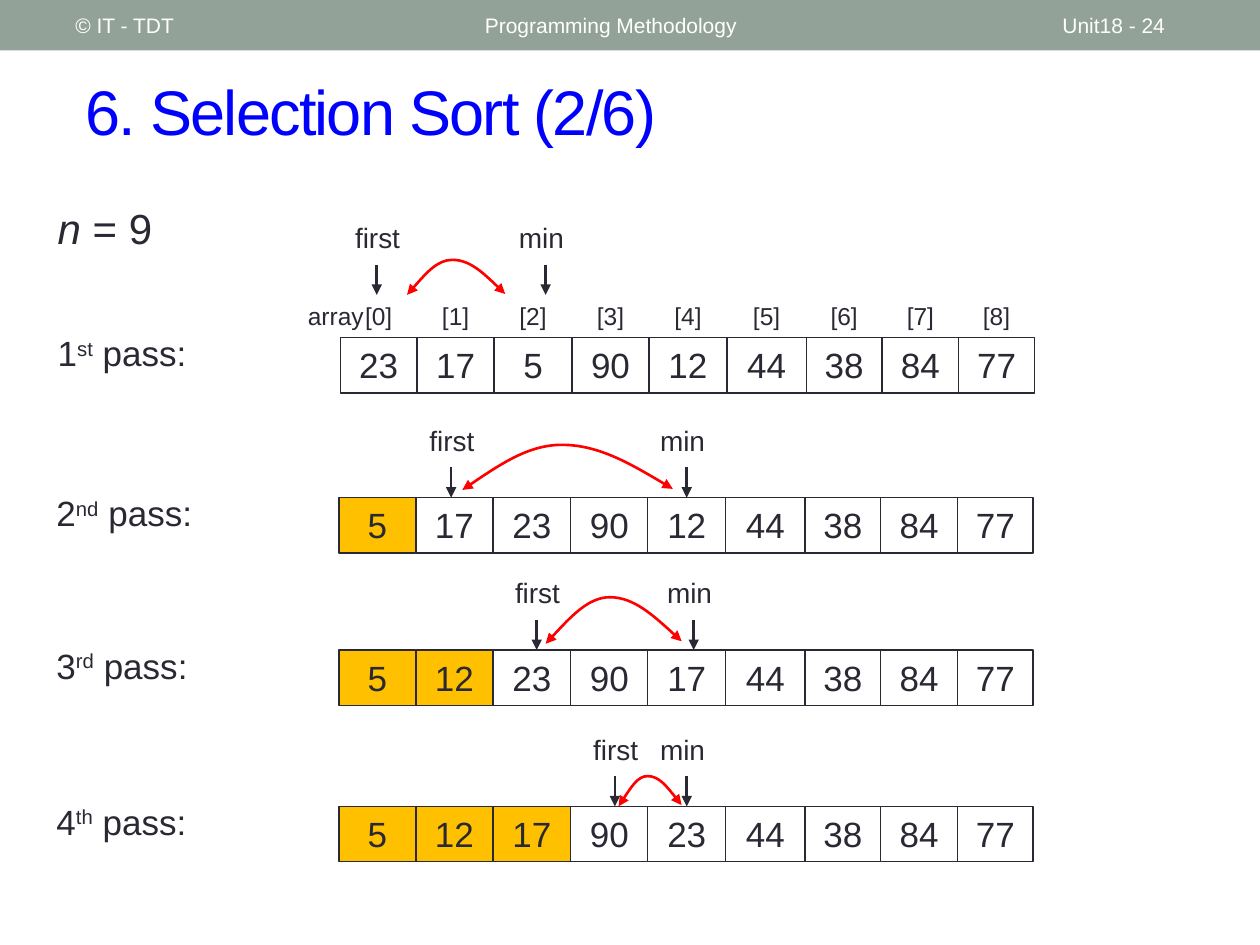
import pptx
import pptx.util
import pptx.dml.color
import pptx.enum.shapes
import pptx.enum.text
import pptx.oxml.ns
import pptx.oxml.xmlchemy

Pt = pptx.util.Pt
qn = pptx.oxml.ns.qn
node = pptx.oxml.xmlchemy.OxmlElement
RECT = pptx.enum.shapes.MSO_SHAPE.RECTANGLE
LINE = pptx.enum.shapes.MSO_CONNECTOR.STRAIGHT
MID = pptx.enum.text.MSO_ANCHOR.MIDDLE
TOP = pptx.enum.text.MSO_ANCHOR.TOP
LEFT = pptx.enum.text.PP_ALIGN.LEFT
CENTER = pptx.enum.text.PP_ALIGN.CENTER
INK, WHITE, GOLD, RED = "292934", "FFFFFF", "FFC000", "FF0000"
EDGES = (0, 44, 88, 132.5, 176.5, 221, 266.4, 309.6, 353.5, 396.7)
SPANS = [(a, b - a) for a, b in zip(EDGES, EDGES[1:])]
HIGH = 31.7

PASSES = [
    dict(box=(194.4, 193), vals=(23, 17, 5, 90, 12, 44, 38, 84, 77),
         done=0, rank=("1", "st"), lift=24.5, first=20.9, low=117.4,
         arc=((38.2, 0), (64.1, -20), (94.3, -0.5))),
    dict(box=(193.7, 284.4), vals=(5, 17, 23, 90, 12, 44, 38, 84, 77),
         done=1, rank=("2", "nd"), lift=0, first=64.1, low=198.7,
         arc=((70.5, -4.4), (127.4, -30.2), (190.8, -5))),
    dict(box=(193.7, 371.5), vals=(5, 12, 23, 90, 17, 44, 38, 84, 77),
         done=2, rank=("3", "rd"), lift=0, first=113, low=202.7,
         arc=((118.1, -3.6), (154.8, -30.2), (195.8, -5))),
    dict(box=(193.7, 460.8), vals=(5, 12, 17, 90, 23, 44, 38, 84, 77),
         done=3, rank=("4", "th"), lift=0, first=157.7, low=198.7,
         arc=((159.8, 0), (176.4, -17.3), (195.8, -0.7))),
]


def paint(part, tone):
    part.rgb = pptx.dml.color.RGBColor.from_string(tone)


def apply(item, form):
    for name, value in form.items():
        setattr(item, name, value)


def write(shape, runs, size, tone=INK, align=LEFT, anchor=TOP, wrap=True):
    frame = shape.text_frame
    apply(frame, dict(word_wrap=wrap, vertical_anchor=anchor))
    para = frame.paragraphs[0]
    para.alignment = align
    for text, form, extra in runs:
        run = para.add_run()
        run.text = text
        apply(run.font, dict(name="Arial", size=Pt(size), **form))
        paint(run.font.color, tone)
        for key, value in extra.items():
            run.font._element.set(key, value)


def label(slide, box, text, size, **form):
    runs = [(text, {}, {})] if isinstance(text, str) else text
    shape = slide.shapes.add_textbox(*map(Pt, box))
    write(shape, runs, size, **form)


def block(slide, box, fill=None, edge=None):
    shape = slide.shapes.add_shape(RECT, *map(Pt, box))
    shape.shadow.inherit = False
    if fill:
        shape.fill.solid()
        paint(shape.fill.fore_color, fill)
    else:
        shape.fill.background()
    if edge:
        shape.line.width = Pt(0.75)
        paint(shape.line.color, edge)
    else:
        shape.line.fill.background()
    return shape


def stroke(shape, tone, ends):
    shape.line.width = Pt(1.5)
    paint(shape.line.color, tone)
    line = shape.line._get_or_add_ln()
    for end in ends:
        tip = node("a:" + end)
        tip.set("type", "triangle")
        line.append(tip)


def marker(slide, box, text, shift, width, wrap):
    x, y = box
    arrow = slide.shapes.add_connector(LINE, Pt(x), Pt(y - 17.3), Pt(x), Pt(y))
    stroke(arrow, INK, ["tailEnd"])
    arrow._element.spPr.append(node("a:effectLst"))
    label(slide, (x - shift, y - 46, width, 26.6), text, 16, wrap=wrap)


def swap(slide, box, arc):
    (ax, ay), (mx, my), (bx, by) = [(box[0] + x, box[1] + y) for x, y in arc]
    points = [
        (ax + (mx - ax) / 3, (ay + my) / 2), (mx - (mx - ax) / 3, my), (mx, my),
        (mx + (bx - mx) / 3, my), (bx - (bx - mx) / 3, (by + my) / 2), (bx, by),
    ]
    build = slide.shapes.build_freeform(Pt(ax), Pt(ay))
    build.add_line_segments([(Pt(x), Pt(y)) for x, y in points], close=False)
    shape = build.convert_to_shape()
    shape.shadow.inherit = False
    shape.fill.background()
    stroke(shape, RED, ["headEnd", "tailEnd"])
    steps = list(shape._element.iter(qn("a:lnTo")))
    for part in (steps[:3], steps[3:]):
        curve = node("a:cubicBezTo")
        part[0].addprevious(curve)
        for step in part:
            curve.append(step[0])
            step.getparent().remove(step)


def header(slide, box):
    x, y, width, height = box
    block(slide, box, fill="93A299")
    for left, wide, text in (
        (270, 324, "Programming Methodology"),
        (600, 84, "Unit18 - 24"),
        (36, 228, "© IT - TDT"),
    ):
        label(slide, (x + left, y + 1.4, wide, height - 2.8), text, 12,
              tone=WHITE, anchor=MID)


def index(slide, box):
    x, y = box
    for i, (left, width) in enumerate(SPANS):
        label(slide, (x + left, y, width, 24.5), f"[{i}]", 14, align=CENTER)
    label(slide, (x - 29.5, y, 54, 24.5), "array", 14, align=CENTER)


def stage(slide, box, vals, done, rank, lift, first, low, arc):
    x, y = box
    for i, ((left, width), value) in enumerate(zip(SPANS, vals)):
        cell = block(slide, (x + left, y, width, HIGH),
                     fill=GOLD if i < done else None, edge=INK)
        write(cell, [(str(value), {}, {})], 20, align=CENTER)
    number, suffix = rank
    runs = [(number, {}, {}), (suffix, {}, {"baseline": "30000"}), (" pass:", {}, {})]
    label(slide, (x - 168.5, y - 7, 100, HIGH), runs, 20)
    base = y - lift
    marker(slide, (x + first, base), "first", 19.5, 44.6, True)
    marker(slide, (x + low, base), "min", 22.3, 40.3, False)
    swap(slide, (x, base), arc)


def main():
    deck = pptx.Presentation()
    apply(deck, dict(slide_width=Pt(720), slide_height=Pt(540)))
    slide = deck.slides.add_slide(deck.slide_layouts[6])
    header(slide, (0, 0, 720, 28.8))
    label(slide, (41.8, 30.2, 660.2, 66.2),
          [("6. Selection Sort (2/6)", {}, {"spc": "-100"})], 36,
          tone="0000FF", anchor=MID)
    label(slide, (25.9, 112.3, 100, 36),
          [("n", {"italic": True}, {}), (" = 9", {}, {})], 24)
    index(slide, (194.4, 168.5))
    for item in PASSES:
        stage(slide, **item)
    deck.save("out.pptx")


if __name__ == "__main__":
    main()
